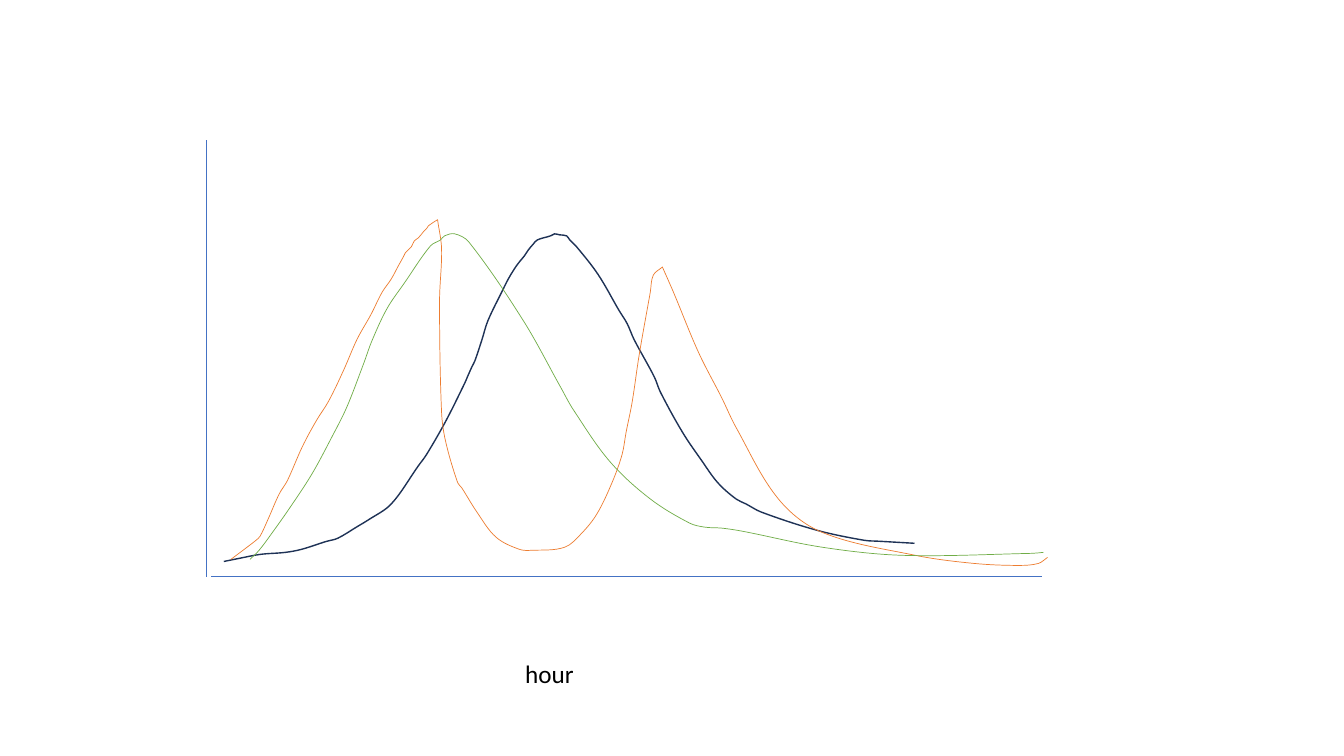
from math import dist

from lxml.etree import SubElement
from pptx import Presentation
from pptx.dml.color import RGBColor
from pptx.enum.shapes import MSO_CONNECTOR
from pptx.enum.text import MSO_AUTO_SIZE
from pptx.oxml.ns import qn
from pptx.util import Inches, Pt

SHARP = 0.6  # below this cosine a bend stays a corner


def color(value):
    return RGBColor.from_string(value)


def heading(start, end):
    span = dist(start, end)
    return [(b - a) / span for a, b in zip(start, end)]


def tangents(points):
    """Give each point its arriving and leaving direction."""
    chords = [heading(a, b) for a, b in zip(points, points[1:])]
    pairs = [(chords[0], chords[0])]
    for index in range(1, len(points) - 1):
        arriving, leaving = chords[index - 1], chords[index]
        if sum(a * b for a, b in zip(arriving, leaving)) > SHARP:
            arriving = leaving = heading(points[index - 1], points[index + 1])
        pairs.append((arriving, leaving))
    return pairs + [(chords[-1], chords[-1])]


def bend(shape):
    """Turn the straight pieces of a freeform into smooth curves."""
    path = next(shape._element.iter(qn("a:path")))
    points = [(int(pt.get("x")), int(pt.get("y"))) for pt in path.iter(qn("a:pt"))]
    pairs = tangents(points)
    for index, piece in enumerate(path.findall(qn("a:lnTo"))):
        start, end = points[index], points[index + 1]
        reach = dist(start, end) / 3
        controls = (
            [a + reach * d for a, d in zip(start, pairs[index][1])],
            [b - reach * d for b, d in zip(end, pairs[index + 1][0])],
            end)
        curve = SubElement(path, qn("a:cubicBezTo"))
        for x, y in controls:
            SubElement(curve, qn("a:pt"), x=str(round(x)), y=str(round(y)))
        path.replace(piece, curve)


class Page:
    font = {"name": "Calibri", "size": Pt(18)}
    text_color = "000000"
    axis_color = "4472C4"

    def __init__(self, deck):
        self.shapes = deck.slides.add_slide(deck.slide_layouts[6]).shapes

    def set_line(self, shape, value, width):
        shape.line.color.rgb = color(value)
        shape.line.width = Pt(width)

    def axis(self, start, end):
        line = self.shapes.add_connector(
            MSO_CONNECTOR.STRAIGHT, *(Inches(v) for v in start + end))
        self.set_line(line, self.axis_color, 0.5)
        SubElement(line._element.spPr, qn("a:effectLst"))

    def curve(self, points, value, width):
        corners = [(Inches(x), Inches(y)) for x, y in points]
        builder = self.shapes.build_freeform(*corners[0])
        builder.add_line_segments(corners[1:], close=False)
        shape = builder.convert_to_shape()
        bend(shape)
        shape.shadow.inherit = False
        shape.fill.background()
        self.set_line(shape, value, width)

    def label(self, text, *place):
        box = self.shapes.add_textbox(*(Inches(v) for v in place))
        box.text_frame.word_wrap = True
        box.text_frame.auto_size = MSO_AUTO_SIZE.SHAPE_TO_FIT_TEXT
        span = box.text_frame.paragraphs[0].add_run()
        span.text = text
        for name, value in self.font.items():
            setattr(span.font, name, value)
        span.font.color.rgb = color(self.text_color)


MIDDLE_PEAK = [
    (2.22, 5.57), (2.37, 5.54), (2.58, 5.5), (2.83, 5.48), (2.99, 5.45),
    (3.24, 5.37), (3.35, 5.34), (3.55, 5.22), (3.65, 5.16), (3.88, 5),
    (4.15, 4.62), (4.23, 4.51), (4.42, 4.18), (4.61, 3.8), (4.64, 3.73),
    (4.68, 3.64), (4.71, 3.58), (4.78, 3.37), (4.84, 3.18), (4.99, 2.87),
    (5.04, 2.77), (5.1, 2.67), (5.15, 2.6), (5.2, 2.54), (5.24, 2.48),
    (5.29, 2.42), (5.33, 2.38), (5.46, 2.34), (5.5, 2.32), (5.55, 2.33),
    (5.62, 2.34), (5.65, 2.38), (5.72, 2.45), (5.93, 2.72), (6.14, 3.08),
    (6.22, 3.21), (6.29, 3.37), (6.49, 3.74), (6.55, 3.89), (6.77, 4.29),
    (6.96, 4.57), (7.12, 4.79), (7.3, 4.95), (7.4, 5), (7.55, 5.08),
    (8.1, 5.26), (8.57, 5.36), (8.73, 5.37), (9.07, 5.39)]

DOUBLE_PEAK = [
    (2.29, 5.55), (2.45, 5.43), (2.54, 5.36), (2.58, 5.32), (2.66, 5.15),
    (2.77, 4.9), (2.85, 4.77), (3, 4.43), (3.14, 4.17), (3.26, 3.98),
    (3.41, 3.67), (3.54, 3.37), (3.68, 3.12), (3.79, 2.9), (3.88, 2.77),
    (3.95, 2.64), (4, 2.55), (4.02, 2.51), (4.05, 2.48), (4.08, 2.45),
    (4.11, 2.39), (4.15, 2.36), (4.2, 2.3), (4.23, 2.27), (4.25, 2.24),
    (4.34, 2.18), (4.38, 2.47), (4.36, 2.99), (4.38, 4.09), (4.42, 4.38),
    (4.54, 4.79), (4.58, 4.84), (4.73, 5.08), (4.92, 5.33), (5.15, 5.45),
    (5.27, 5.46), (5.6, 5.43), (5.77, 5.29), (5.92, 5.1), (6.07, 4.79),
    (6.17, 4.51), (6.21, 4.29), (6.27, 3.99), (6.34, 3.52), (6.45, 2.9),
    (6.48, 2.73), (6.57, 2.65), (6.68, 2.9), (6.93, 3.5), (7.16, 3.95),
    (7.3, 4.24), (7.72, 4.95), (8.15, 5.28), (9.08, 5.51), (9.66, 5.59),
    (10.11, 5.61), (10.3, 5.59), (10.39, 5.53)]

EARLY_PEAK = [
    (2.48, 5.55), (2.57, 5.46), (2.69, 5.3), (2.86, 5.06), (3.09, 4.71),
    (3.29, 4.34), (3.44, 4.04), (3.61, 3.6), (3.69, 3.38), (3.84, 3.06),
    (4.01, 2.81), (4.27, 2.44), (4.37, 2.38), (4.41, 2.34), (4.51, 2.32),
    (4.65, 2.4), (5.19, 3.18), (5.56, 3.84), (5.69, 4.07), (6.05, 4.58),
    (6.45, 4.95), (6.84, 5.19), (6.99, 5.23), (7.16, 5.24), (7.36, 5.27),
    (8.16, 5.43), (8.96, 5.51), (10.24, 5.49), (10.35, 5.48)]

deck = Presentation()
deck.slide_width, deck.slide_height = Inches(13.33), Inches(7.5)
page = Page(deck)

# Axes and the name of the horizontal one
page.axis((2.05, 1.39), (2.05, 5.72))
page.axis((10.33, 5.72), (2.09, 5.72))
page.label("hour", 5.11, 6.48, 2.55, 0.4)

# Curves
for points, value, width in [
    (MIDDLE_PEAK, "1E3256", 1),
    (DOUBLE_PEAK, "ED7D31", 0.5),
    (EARLY_PEAK, "70AD47", 0.5),
]:
    page.curve(points, value, width)

deck.save("out.pptx")
